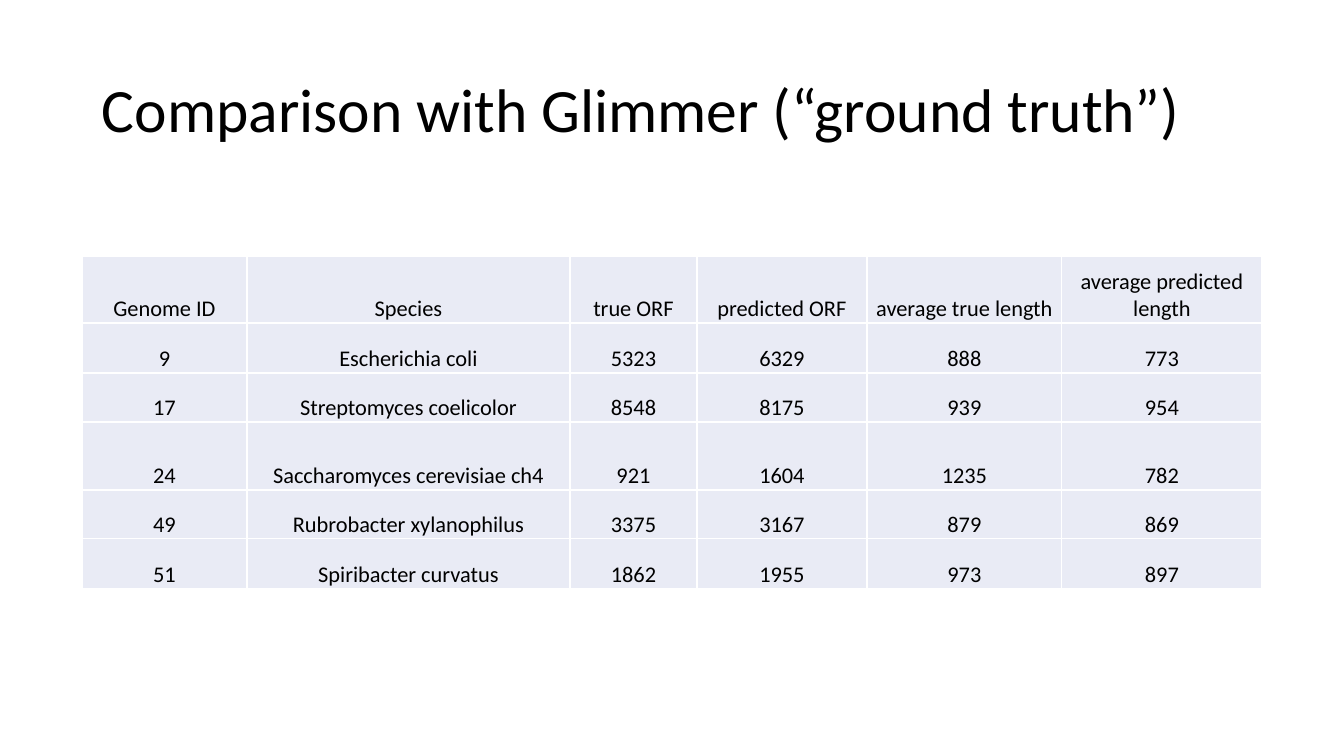
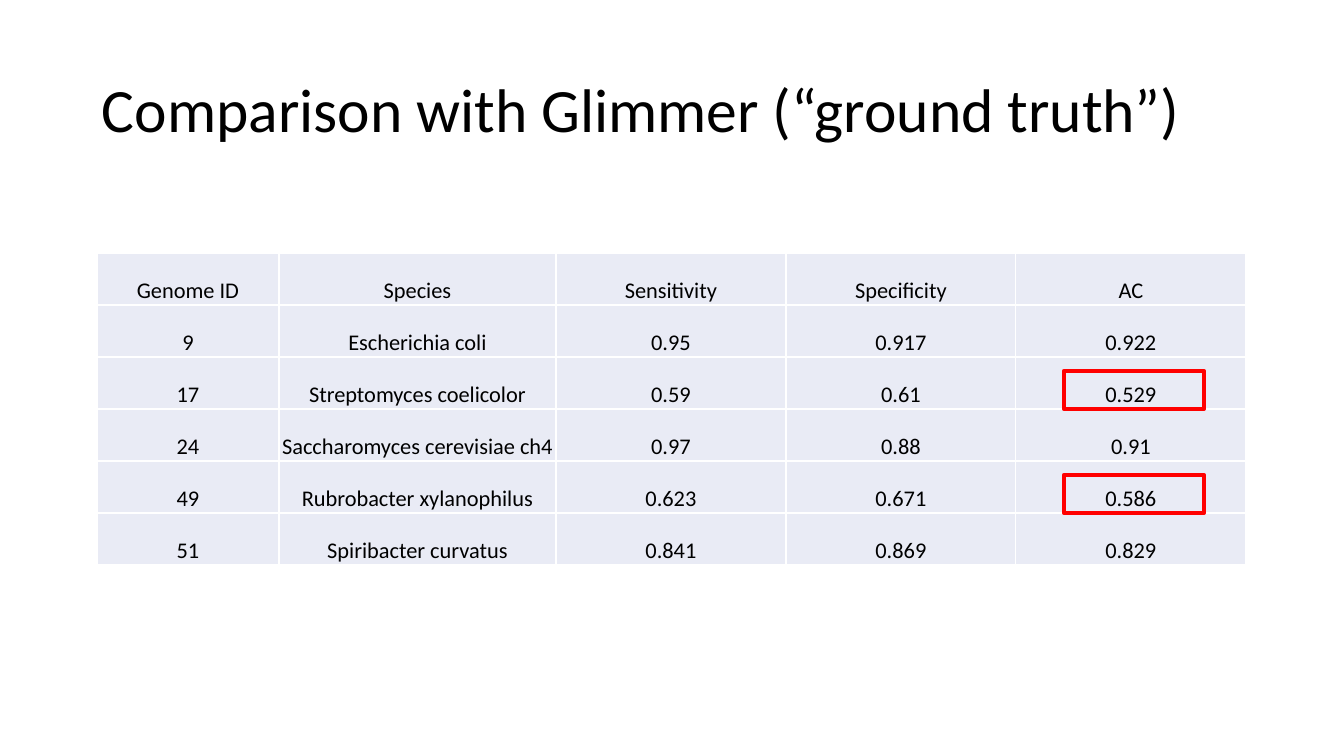
from lxml import etree
from pptx import Presentation
from pptx.dml.color import RGBColor
from pptx.enum.shapes import MSO_SHAPE
from pptx.enum.text import MSO_ANCHOR, PP_ALIGN
from pptx.oxml.ns import qn
from pptx.util import Pt

# Content
TITLE = "Comparison with Glimmer (“ground truth”)"
GENOME_HEADER = ("Genome ID", "Species")
GENOMES = [
    ("9", "Escherichia coli"),
    ("17", "Streptomyces coelicolor"),
    ("24", "Saccharomyces cerevisiae ch4"),
    ("49", "Rubrobacter xylanophilus"),
    ("51", "Spiribacter curvatus"),
]
SLIDES = [
    {
        "header": ("true ORF", "predicted ORF", "average true length", "average predicted length"),
        "values": [
            ("5323", "6329", "888", "773"),
            ("8548", "8175", "939", "954"),
            ("921", "1604", "1235", "782"),
            ("3375", "3167", "879", "869"),
            ("1862", "1955", "973", "897"),
        ],
        "origin": (82, 256),
        "columns": (165, 323, 127, 170, 195, 200),
        "rows": (67, 50, 49, 68, 49, 50),
        "highlighted": (),
    },
    {
        "header": ("Sensitivity", "Specificity", "AC"),
        "values": [
            ("0.95", "0.917", "0.922"),
            ("0.59", "0.61", "0.529"),
            ("0.97", "0.88", "0.91"),
            ("0.623", "0.671", "0.586"),
            ("0.841", "0.869", "0.829"),
        ],
        "origin": (97, 253),
        "columns": (182, 277, 230, 230, 230),
        "rows": (52,) * 6,
        "highlighted": ((2, 4), (4, 4)),  # row, column
    },
]

# Shared style
BLACK = RGBColor(0x00, 0x00, 0x00)
WHITE = RGBColor(0xFF, 0xFF, 0xFF)
CELL_FILL = RGBColor(0xE9, 0xEB, 0xF5)
RED = RGBColor(0xFF, 0x00, 0x00)
FONT = "Calibri"
CENTER = PP_ALIGN.CENTER
BOTTOM, MIDDLE = MSO_ANCHOR.BOTTOM, MSO_ANCHOR.MIDDLE
RECTANGLE = MSO_SHAPE.RECTANGLE
TITLE_BOX = (92, 40, 1159, 146)
HIGHLIGHT_OFFSET, HIGHLIGHT_SIZE = (48, 14), (140, 38)
EMU_PER_PIXEL = 914400 / 100.8


def px(pixels):
    return round(pixels * EMU_PER_PIXEL)


def style_paragraph(paragraph, size):
    paragraph.font.name = FONT
    paragraph.font.size = Pt(size)
    paragraph.font.color.rgb = BLACK


def add_title(slide):
    frame = slide.shapes.add_textbox(*map(px, TITLE_BOX)).text_frame
    frame.word_wrap = True
    frame.vertical_anchor = MIDDLE
    paragraph = frame.paragraphs[0]
    paragraph.text = TITLE
    paragraph.line_spacing = 0.9
    style_paragraph(paragraph, 44)


def add_borders(cell):
    properties = cell._tc.get_or_add_tcPr()
    for side in ("a:lnL", "a:lnR", "a:lnT", "a:lnB"):
        line = etree.SubElement(properties, qn(side), w=str(Pt(1)))
        fill = etree.SubElement(line, qn("a:solidFill"))
        etree.SubElement(fill, qn("a:srgbClr"), val=str(WHITE))


def fill_cell(cell, text):
    add_borders(cell)  # borders come before the fill in the cell properties
    cell.fill.solid()
    cell.fill.fore_color.rgb = CELL_FILL
    cell.margin_left = cell.margin_right = cell.margin_top = px(1)
    cell.margin_bottom = 0
    cell.vertical_anchor = BOTTOM
    paragraph = cell.text_frame.paragraphs[0]
    paragraph.text = text
    paragraph.alignment = CENTER
    style_paragraph(paragraph, 16)


def add_genome_table(slide, content):
    columns, rows = content["columns"], content["rows"]
    records = [GENOME_HEADER + content["header"]]
    records += [genome + values for genome, values in zip(GENOMES, content["values"])]
    bounds = (*content["origin"], sum(columns), sum(rows))
    table = slide.shapes.add_table(len(rows), len(columns), *map(px, bounds)).table
    table.first_row = table.horz_banding = False
    for column, width in zip(table.columns, columns):
        column.width = px(width)
    for row, height, record in zip(table.rows, rows, records):
        row.height = px(height)
        for cell, text in zip(row.cells, record):
            fill_cell(cell, text)


def add_highlight(slide, content, row, column):
    left = content["origin"][0] + sum(content["columns"][:column]) + HIGHLIGHT_OFFSET[0]
    top = content["origin"][1] + sum(content["rows"][:row]) + HIGHLIGHT_OFFSET[1]
    frame = slide.shapes.add_shape(RECTANGLE, *map(px, (left, top, *HIGHLIGHT_SIZE)))
    frame.shadow.inherit = False
    frame.fill.background()
    frame.line.color.rgb = RED
    frame.line.width = Pt(3)


# Build the slides
presentation = Presentation()
presentation.slide_width, presentation.slide_height = px(1344), px(756)
blank_layout = presentation.slide_layouts[6]
for content in SLIDES:
    slide = presentation.slides.add_slide(blank_layout)
    add_title(slide)
    add_genome_table(slide, content)
    for row, column in content["highlighted"]:
        add_highlight(slide, content, row, column)
presentation.save("out.pptx")
